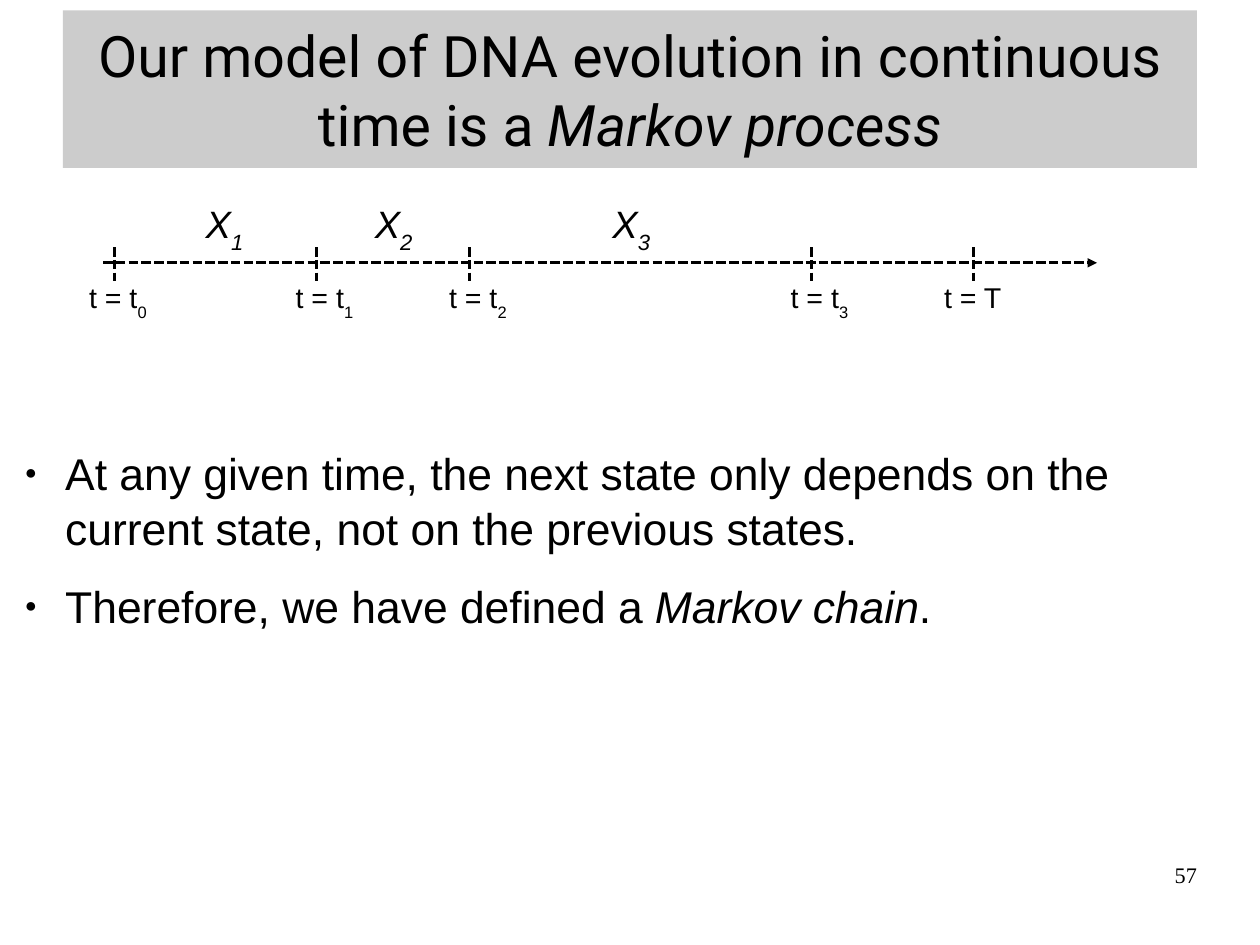
from lxml.etree import SubElement
from pptx import Presentation
from pptx.dml.color import RGBColor
from pptx.enum.dml import MSO_LINE
from pptx.enum.shapes import MSO_CONNECTOR
from pptx.enum.text import MSO_ANCHOR, MSO_AUTO_SIZE, PP_ALIGN
from pptx.oxml.ns import qn
from pptx.util import Cm, Pt

COLORS = {"ink": "000000", "band": "CCCCCC"}


def write(para, text, size=18, face="Arial", slant=False, base=0):
    run = para.add_run()
    run.text = text
    font = run.font
    font.size = Pt(size)
    font.name = face
    font.italic = slant
    font.color.rgb = RGBColor.from_string(COLORS["ink"])
    if base:
        run._r.get_or_add_rPr().set("baseline", str(base * 1000))


def place(shape, left, top, width, height, pad=(0, 0)):
    shape.left, shape.top = Cm(left), Cm(top)
    shape.width, shape.height = Cm(width), Cm(height)
    frame = shape.text_frame
    frame.margin_left = frame.margin_right = Cm(pad[0])
    frame.margin_top = frame.margin_bottom = Cm(pad[1])
    frame.auto_size = MSO_AUTO_SIZE.NONE
    frame.vertical_anchor = MSO_ANCHOR.TOP
    frame.word_wrap = pad == (0, 0)
    return frame


deck = Presentation()
deck.slide_width, deck.slide_height = Cm(28), Cm(21)
slide = deck.slides.add_slide(deck.slide_layouts[1])
shapes = slide.shapes

title = shapes.title
title.fill.solid()
title.fill.fore_color.rgb = RGBColor.from_string(COLORS["band"])
frame = place(title, 1.4, 0.23, 25.2, 3.5)
frame.vertical_anchor = MSO_ANCHOR.MIDDLE
para = frame.paragraphs[0]
para.alignment = PP_ALIGN.CENTER
write(para, "Our model of DNA evolution in continuous time is a ", size=36, face="Roboto")
write(para, "Markov process", size=36, face="Roboto", slant=True)

points = [
    [("At any given time, the next state only depends on the current state, "
      "not on the previous states.", False)],
    [("Therefore, we have defined a ", False), ("Markov chain", True), (".", False)],
]
frame = place(slide.placeholders[1], 0.25, 9.88, 27.43, 6.05)
for row, parts in enumerate(points):
    para = frame.add_paragraph() if row else frame.paragraphs[0]
    props = para._p.get_or_add_pPr()
    props.set("marL", str(Cm(1.2)))
    props.set("indent", str(Cm(-0.9)))
    tint = SubElement(props, qn("a:buClr"))
    SubElement(tint, qn("a:srgbClr")).set("val", COLORS["ink"])
    SubElement(props, qn("a:buSzPct")).set("val", "45000")
    SubElement(props, qn("a:buFont")).set("typeface", "Arial")
    SubElement(props, qn("a:buChar")).set("char", "●")
    para.space_before = Pt(14.2 if row else 0)
    para.line_spacing = 1.03
    for text, slant in parts:
        write(para, text, size=28, slant=slant)

ticks = [2.54, 7.04, 10.44, 18.03, 21.64]
lines = [(x, 5.49, x, 6.25) for x in ticks]
lines.append((2.29, 5.84, 24.38, 5.84))
for ends in lines:
    link = shapes.add_connector(MSO_CONNECTOR.STRAIGHT, *map(Cm, ends))
    link.line.color.rgb = RGBColor.from_string(COLORS["ink"])
    link.line.width = Pt(0)
    link.line.dash_style = MSO_LINE.SQUARE_DOT
    SubElement(link._element.spPr, qn("a:effectLst"))
SubElement(link.line._get_or_add_ln(), qn("a:tailEnd")).set("type", "triangle")

labels = [
    (1.73, 6.1, "t = t", "0", 18),
    (6.32, 6.1, "t = t", "1", 18),
    (9.73, 6.1, "t = t", "2", 18),
    (17.32, 6.1, "t = t", "3", 18),
    (20.73, 6.1, "t = T", "", 18),
    (4.32, 4.32, "X", "1", 24),
    (8.08, 4.32, "X", "2", 24),
    (13.36, 4.32, "X", "3", 24),
]
for left, top, text, sub, size in labels:
    box = shapes.add_textbox(0, 0, 0, 0)
    para = place(box, left, top, 1.83, 1.12, pad=(0.25, 0.13)).paragraphs[0]
    slant = text == "X"
    write(para, text, size=size, slant=slant)
    if sub:
        write(para, sub, size=size, slant=slant, base=-33)

box = shapes.add_textbox(0, 0, 0, 0)
para = place(box, 20.07, 19.13, 6.53, 1.45).paragraphs[0]
para.alignment = PP_ALIGN.RIGHT
write(para, "57", size=14, face="Times New Roman")

deck.save("out.pptx")
